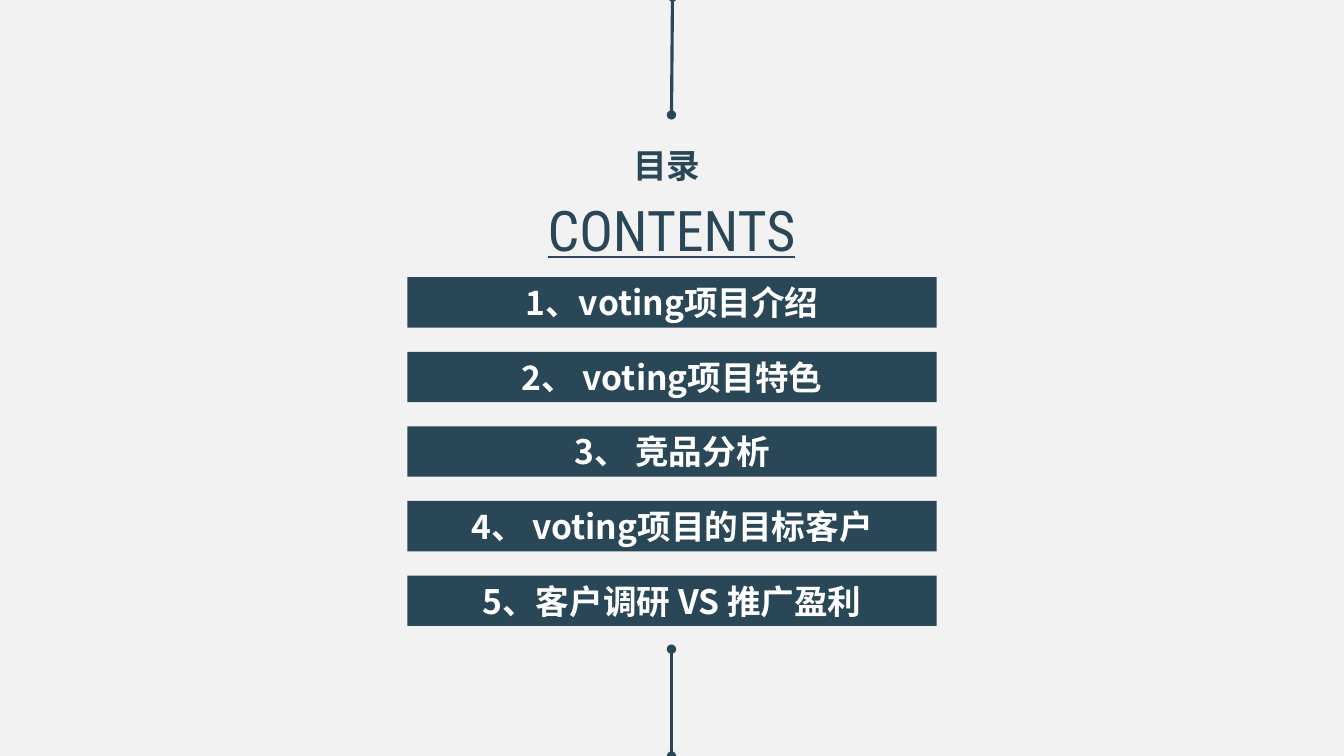
from lxml.etree import SubElement
from pptx import Presentation
from pptx.dml.color import RGBColor
from pptx.enum.shapes import MSO_CONNECTOR, MSO_SHAPE
from pptx.enum.text import MSO_ANCHOR, MSO_AUTO_SIZE, PP_ALIGN
from pptx.oxml.ns import qn
from pptx.util import Inches, Pt

NAVY = "2A4758"
WHITE = "FFFFFF"
PALE_GREY = "F2F2F2"
CHINESE_FONT = "Noto Sans CJK SC"
LATIN_FONT = "Roboto Condensed"

CHAPTERS = [
    "1、voting项目介绍",
    "2、 voting项目特色",
    "3、 竞品分析",
    "4、 voting项目的目标客户",
    "5、客户调研 VS 推广盈利",
]
BAR_LEFT, BAR_TOP, BAR_WIDTH, BAR_HEIGHT = 4.04, 2.75, 5.25, 0.5
BAR_PITCH = 0.74


def color(hex_string):
    return RGBColor.from_string(hex_string)


def write_text(shape, text, size, font_name, font_color, bold=False,
               underline=False, anchor=MSO_ANCHOR.TOP):
    frame = shape.text_frame
    frame.text = text
    frame.word_wrap = True
    frame.auto_size = MSO_AUTO_SIZE.NONE
    frame.vertical_anchor = anchor
    para = frame.paragraphs[0]
    para.alignment = PP_ALIGN.CENTER
    para.line_spacing = 1.0
    para.space_before = Pt(0)
    span = para.runs[0]
    span.font.size = Pt(size)
    span.font.name = font_name
    span.font.bold = bold
    span.font.underline = underline
    span.font.color.rgb = color(font_color)
    # Chinese characters take their font from a:ea
    SubElement(span.font._element, qn("a:ea"), typeface=font_name)


def add_dotted_line(slide, x1, y1, x2, y2):
    line = slide.shapes.add_connector(
        MSO_CONNECTOR.STRAIGHT, Inches(x1), Inches(y1), Inches(x2), Inches(y2))
    line.line.color.rgb = color(NAVY)
    line.line.width = Pt(2.25)
    # Round dots at both ends, no shadow
    outline = line.line._get_or_add_ln()
    for end in ("a:headEnd", "a:tailEnd"):
        SubElement(outline, qn(end), type="oval")
    SubElement(line._element.spPr, qn("a:effectLst"))


def add_chapter_bar(slide, top, text):
    bar = slide.shapes.add_shape(
        MSO_SHAPE.RECTANGLE, Inches(BAR_LEFT), Inches(top),
        Inches(BAR_WIDTH), Inches(BAR_HEIGHT))
    bar.shadow.inherit = False
    bar.fill.solid()
    bar.fill.fore_color.rgb = color(NAVY)
    bar.line.fill.background()
    write_text(bar, text, 24, CHINESE_FONT, WHITE, bold=True,
               anchor=MSO_ANCHOR.MIDDLE)


def main():
    deck = Presentation()
    deck.slide_width = Inches(13.33)
    deck.slide_height = Inches(7.5)
    slide = deck.slides.add_slide(deck.slide_layouts[5])
    slide.background.fill.solid()
    slide.background.fill.fore_color.rgb = color(PALE_GREY)

    # Lines above and below the list
    add_dotted_line(slide, 6.67, -0.03, 6.66, 1.14)
    add_dotted_line(slide, 6.66, 6.44, 6.66, 7.5)

    # Heading in both languages
    title = slide.shapes.title
    title.left, title.top = Inches(6.09), Inches(1.39)
    title.width, title.height = Inches(1.05), Inches(0.5)
    write_text(title, "目录", 24, CHINESE_FONT, NAVY, bold=True)
    subtitle = slide.shapes.add_textbox(
        Inches(5.19), Inches(1.89), Inches(2.94), Inches(0.77))
    write_text(subtitle, "CONTENTS", 40, LATIN_FONT, NAVY, underline=True)

    # Chapter list
    for index, chapter in enumerate(CHAPTERS):
        add_chapter_bar(slide, BAR_TOP + index * BAR_PITCH, chapter)

    deck.save("out.pptx")


if __name__ == "__main__":
    main()
